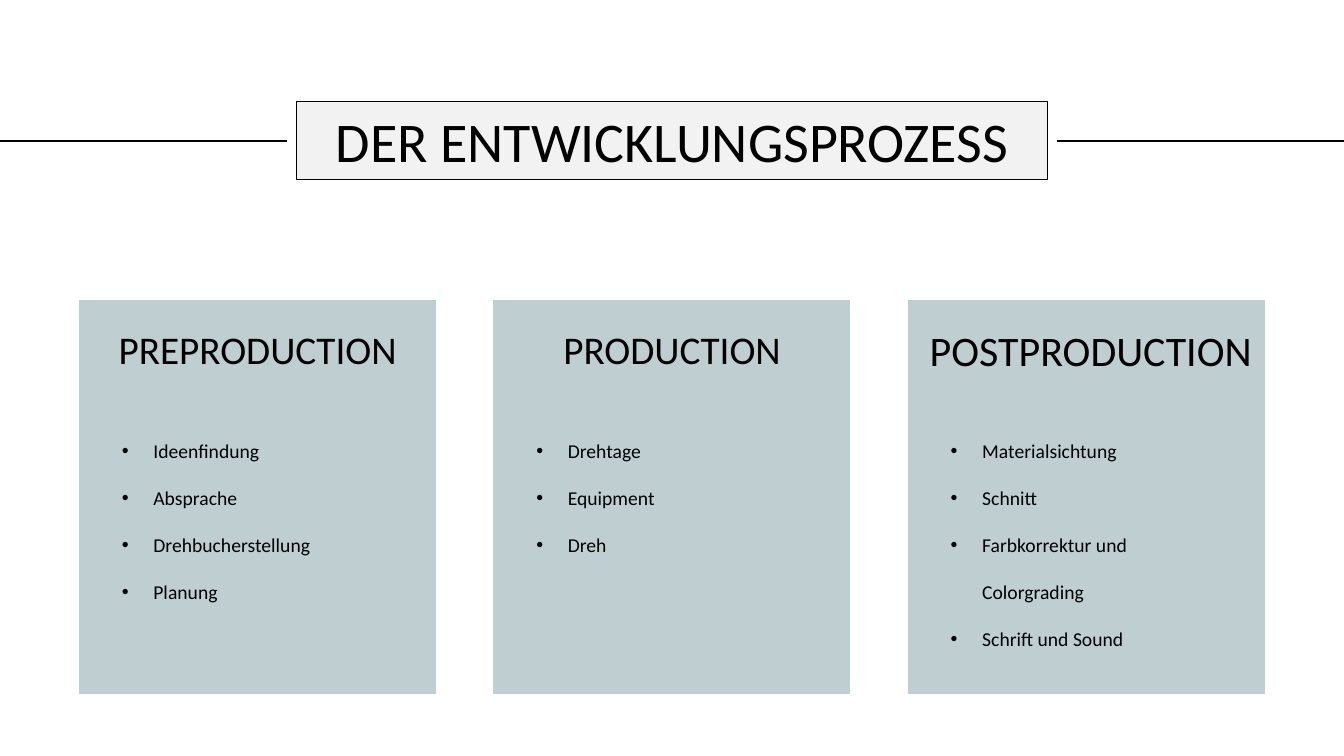
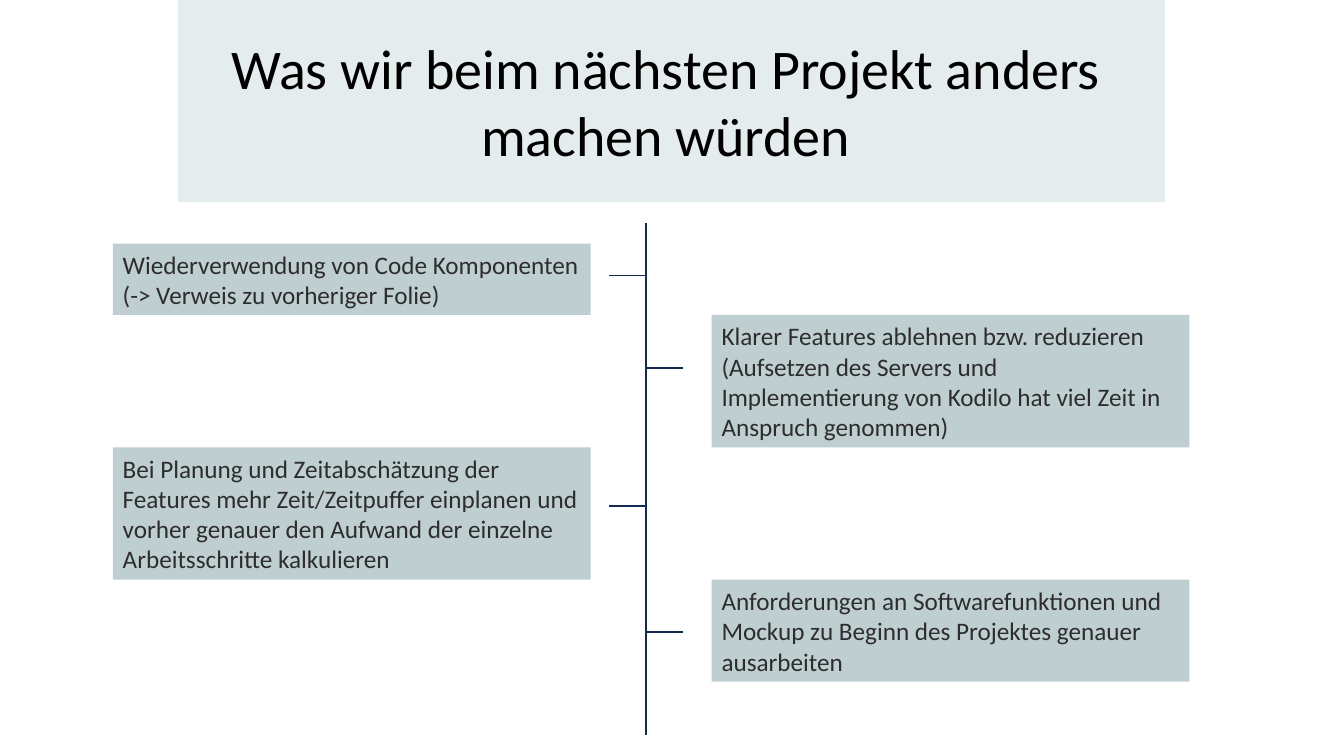
from dataclasses import dataclass

from lxml.etree import SubElement
from pptx import Presentation
from pptx.dml.color import RGBColor
from pptx.enum.shapes import MSO_CONNECTOR, MSO_SHAPE
from pptx.enum.text import MSO_ANCHOR, MSO_AUTO_SIZE, PP_ALIGN
from pptx.oxml.ns import qn
from pptx.shapes.autoshape import Shape
from pptx.slide import Slide
from pptx.util import Pt


@dataclass(frozen=True)
class Theme:
    font: str = "Calibri"
    black: str = "000000"
    ink: str = "2D2D2D"
    navy: str = "142A52"
    sage: str = "BFCFD1"
    mist: str = "E5ECED"
    pale: str = "F2F2F2"
    title: float = 40
    head: float = 28
    large: float = 30
    note: float = 18
    item: float = 14


@dataclass(frozen=True)
class Box:
    left: float
    top: float
    width: float
    height: float


@dataclass(frozen=True)
class Card:
    head: str
    items: tuple[str, ...]
    size: float
    align: PP_ALIGN = PP_ALIGN.CENTER
    shift: float = 0


@dataclass(frozen=True)
class Note:
    text: str
    height: float
    tick: float
    side: int


THEME = Theme()
WIDTH, HEIGHT = 960, 540
MID = WIDTH / 2

CARDS = (
    Card("PREPRODUCTION",
         ("Ideenfindung", "Absprache", "Drehbucherstellung", "Planung"), THEME.head),
    Card("PRODUCTION", ("Drehtage", "Equipment", "Dreh"), THEME.head),
    Card("POSTPRODUCTION",
         ("Materialsichtung", "Schnitt", "Farbkorrektur und Colorgrading",
          "Schrift und Sound"), THEME.large, PP_ALIGN.LEFT, 8),
)
NOTES = (
    Note("Wiederverwendung von Code Komponenten (-> Verweis zu vorheriger Folie)",
         51, 196.6, -1),
    Note("Klarer Features ablehnen bzw. reduzieren (Aufsetzen des Servers und "
         "Implementierung von Kodilo hat viel Zeit in Anspruch genommen)",
         94.5, 262.8, 1),
    Note("Bei Planung und Zeitabschätzung der Features mehr Zeit/Zeitpuffer einplanen "
         "und vorher genauer den Aufwand der einzelne Arbeitsschritte kalkulieren",
         94.5, 361.4, -1),
    Note("Anforderungen an Softwarefunktionen und Mockup zu Beginn des Projektes "
         "genauer ausarbeiten", 73, 451.4, 1),
)


def paint(shape: Shape, fill: str, edge: str | None = None, weight: float = 1) -> None:
    shape.fill.solid()
    shape.fill.fore_color.rgb = RGBColor.from_string(fill)
    if edge:
        shape.line.color.rgb = RGBColor.from_string(edge)
        shape.line.width = Pt(weight)
    else:
        shape.line.fill.background()


def write(shape: Shape, lines: tuple[str, ...], size: float, color: str = THEME.black,
          align: PP_ALIGN = PP_ALIGN.LEFT, anchor: MSO_ANCHOR = MSO_ANCHOR.MIDDLE,
          listed: bool = False) -> None:
    frame = shape.text_frame
    frame.word_wrap = True
    frame.auto_size = MSO_AUTO_SIZE.NONE
    frame.vertical_anchor = anchor
    for index, line in enumerate(lines):
        para = frame.add_paragraph() if index else frame.paragraphs[0]
        para.alignment = align
        if listed:
            props = para._p.get_or_add_pPr()
            props.set("marL", str(Pt(22.5)))
            props.set("indent", str(-Pt(22.5)))
            SubElement(props, qn("a:buFont"), typeface="Arial")
            SubElement(props, qn("a:buChar"), char="•")
            para.line_spacing = 2.0
        run = para.add_run()
        run.text = line
        run.font.name = THEME.font
        run.font.size = Pt(size)
        run.font.color.rgb = RGBColor.from_string(color)


def add_rect(slide: Slide, box: Box, fill: str, edge: str | None = None) -> Shape:
    shape = slide.shapes.add_shape(
        MSO_SHAPE.RECTANGLE, Pt(box.left), Pt(box.top), Pt(box.width), Pt(box.height))
    shape.shadow.inherit = False
    paint(shape, fill, edge)
    return shape


def add_text(slide: Slide, box: Box) -> Shape:
    return slide.shapes.add_textbox(
        Pt(box.left), Pt(box.top), Pt(box.width), Pt(box.height))


def add_line(slide: Slide, x1: float, y1: float, x2: float, y2: float,
             color: str, weight: float = 1) -> None:
    line = slide.shapes.add_connector(
        MSO_CONNECTOR.STRAIGHT, Pt(x1), Pt(y1), Pt(x2), Pt(y2))
    line.line.color.rgb = RGBColor.from_string(color)
    line.line.width = Pt(weight)
    SubElement(line._element.spPr, qn("a:effectLst"))


def set_title(slide: Slide, text: str, box: Box, fill: str, edge: str,
              weight: float) -> Shape:
    title = slide.shapes.title
    title.left, title.top = Pt(box.left), Pt(box.top)
    title.width, title.height = Pt(box.width), Pt(box.height)
    paint(title, fill, edge, weight)
    write(title, (text,), THEME.title, align=PP_ALIGN.CENTER)
    return title


def draw_steps(slide: Slide) -> None:
    box = Box(212, 72.5, 536, 55.5)
    set_title(slide, "DER ENTWICKLUNGSPROZESS", box, THEME.pale, THEME.black, 0.75)
    rule, reach = 100.8, 205
    for start in (0, WIDTH - reach):
        add_line(slide, start, rule, start + reach, rule, THEME.black)
    wide, pitch, top = 254, 296, 214.5
    first = MID - pitch - wide / 2
    for index, card in enumerate(CARDS):
        left = first + index * pitch
        add_rect(slide, Box(left, top, wide, 281), THEME.sage, THEME.sage)
        head = add_text(slide, Box(left + card.shift, 227.5, wide - card.shift, 44))
        write(head, (card.head,), card.size, align=card.align)
        body = add_text(slide, Box(left + 23, 293, 208, 138))
        write(body, card.items, THEME.item, anchor=MSO_ANCHOR.TOP, listed=True)


def draw_notes(slide: Slide) -> None:
    title = set_title(slide, "Was wir beim nächsten Projekt anders machen würden",
                      Box(127.5, 0, 704, 144), THEME.mist, THEME.mist, 1)
    title.text_frame.margin_left, title.text_frame.margin_right = Pt(34), Pt(42)
    spine, reach, wide = 461.5, 26.6, 341.3
    lefts = {-1: 80.6, 1: 508.3}
    top = 174
    for note in NOTES:
        shape = add_rect(slide, Box(lefts[note.side], top, wide, note.height), THEME.sage)
        write(shape, (note.text,), THEME.note, THEME.ink)
        add_line(slide, spine, note.tick, spine + note.side * reach, note.tick, THEME.navy)
        top += note.height
    add_line(slide, spine, 159, spine, 525, THEME.navy, 1.5)


def main() -> None:
    deck = Presentation()
    deck.slide_width, deck.slide_height = Pt(WIDTH), Pt(HEIGHT)
    for draw in (draw_steps, draw_notes):
        draw(deck.slides.add_slide(deck.slide_layouts[5]))
    deck.save("out.pptx")


if __name__ == "__main__":
    main()
